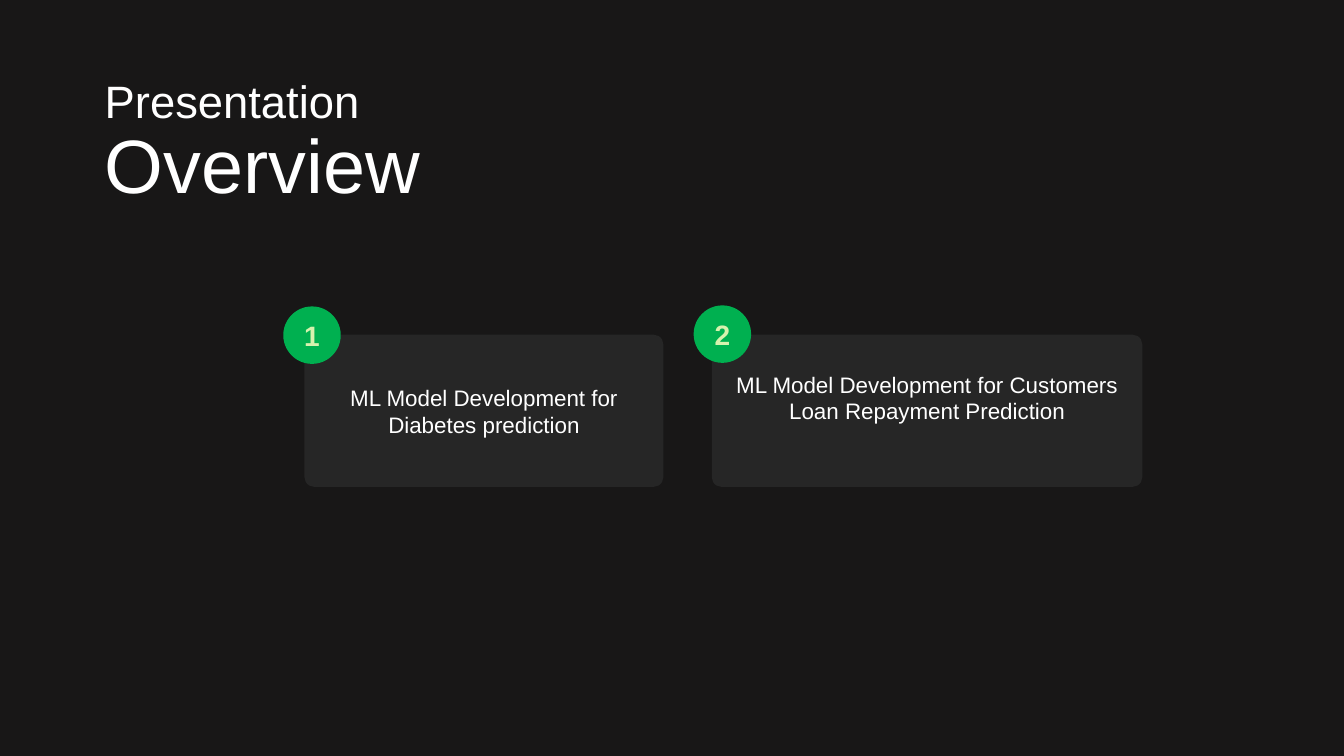
"""Build the presentation overview slide with two numbered topic cards."""
from pptx import Presentation
from pptx.dml.color import RGBColor
from pptx.enum.shapes import MSO_SHAPE
from pptx.enum.text import MSO_ANCHOR, PP_ALIGN
from pptx.util import Inches, Pt

TITLE = [("Presentation", 32.4), ("Overview", 54)]
CARDS = [
    {"text": "ML Model Development for Diabetes prediction",
     "left": 3.02, "width": 3.56, "badge": (2.81, 3.04), "bottom": 0.05},
    {"text": "ML Model Development for Customers Loan Repayment Prediction",
     "left": 7.06, "width": 4.27, "badge": (6.88, 3.03), "bottom": 0.31},
]
CARD_TOP, CARD_HEIGHT, BADGE_SIZE = 3.32, 1.51, 0.57

BACKGROUND = RGBColor(0x18, 0x17, 0x17)
CARD_FILL = RGBColor(0x26, 0x26, 0x26)
GREEN = RGBColor(0x00, 0xB0, 0x50)
PALE_GREEN = RGBColor(0xD6, 0xF2, 0xAE)
WHITE = RGBColor(0xFF, 0xFF, 0xFF)


def write(sp, lines, color=WHITE, bold=False, align=PP_ALIGN.CENTER,
          anchor=MSO_ANCHOR.MIDDLE, spacing=None, bottom=0.05):
    tf = sp.text_frame
    tf.word_wrap = True
    tf.vertical_anchor = anchor
    tf.margin_bottom = Inches(bottom)
    p = tf.paragraphs[0]
    p.alignment = align
    p.line_spacing = spacing
    for i, (text, size) in enumerate(lines):
        if i:
            p.add_line_break()
        r = p.add_run()
        r.text = text
        r.font.name = "Arial"
        r.font.size = Pt(size)
        r.font.bold = bold
        r.font.color.rgb = color


def add_filled(s, kind, box, fill):
    sp = s.shapes.add_shape(kind, *map(Inches, box))
    sp.shadow.inherit = False
    sp.fill.solid()
    sp.fill.fore_color.rgb = fill
    sp.line.fill.background()
    return sp


def main():
    prs = Presentation()
    prs.slide_width, prs.slide_height = Inches(13.33), Inches(7.5)
    s = prs.slides.add_slide(prs.slide_layouts[6])
    s.background.fill.solid()
    s.background.fill.fore_color.rgb = BACKGROUND

    title = s.shapes.add_textbox(*map(Inches, (0.94, 0.62, 11.58, 1.51)))
    write(title, TITLE, align=PP_ALIGN.LEFT, anchor=MSO_ANCHOR.BOTTOM, spacing=0.9)

    for number, card in enumerate(CARDS, 1):
        box = (card["left"], CARD_TOP, card["width"], CARD_HEIGHT)
        sp = add_filled(s, MSO_SHAPE.ROUNDED_RECTANGLE, box, CARD_FILL)
        sp.adjustments[0] = 0.064
        write(sp, [(card["text"], 16)], bottom=card["bottom"])
        badge = add_filled(s, MSO_SHAPE.OVAL,
                           (*card["badge"], BADGE_SIZE, BADGE_SIZE), GREEN)
        write(badge, [(str(number), 20)], color=PALE_GREEN, bold=True)

    prs.save("out.pptx")


if __name__ == "__main__":
    main()
